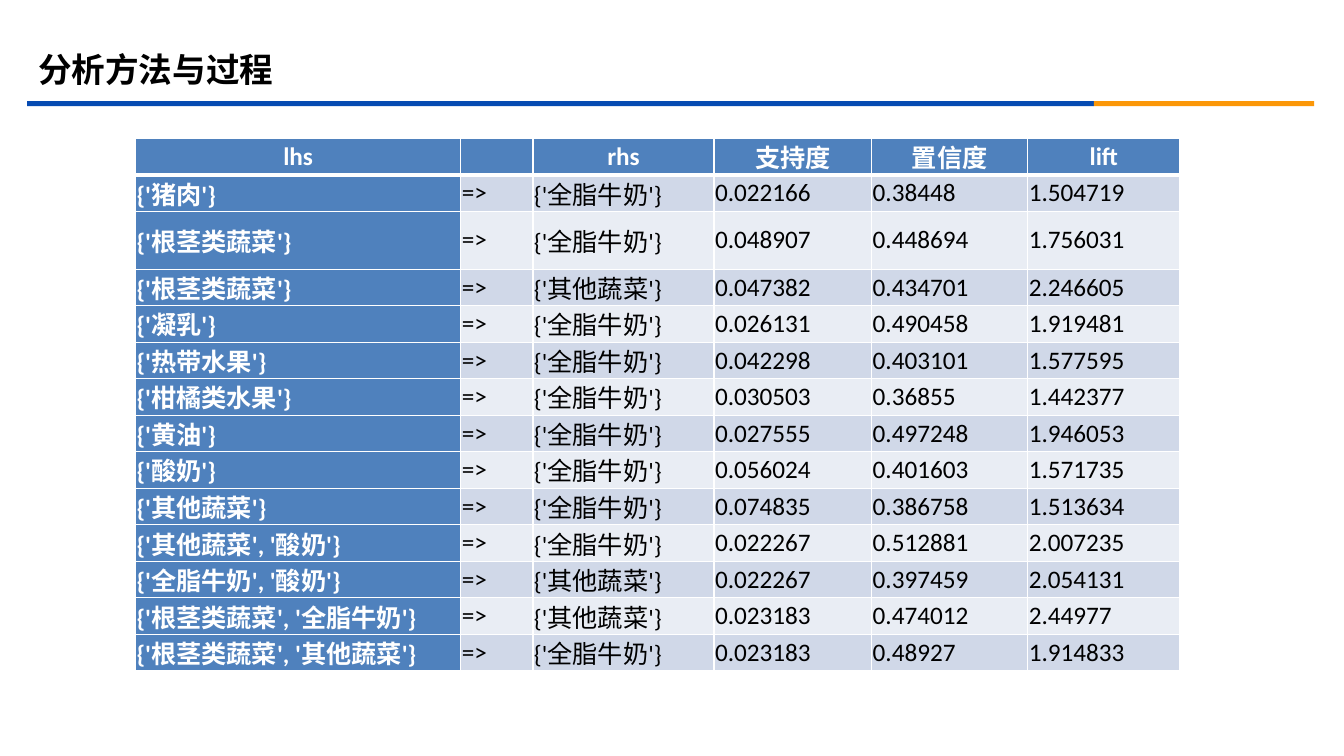
from dataclasses import dataclass

from lxml.etree import SubElement
from pptx import Presentation
from pptx.dml.color import RGBColor
from pptx.enum.shapes import MSO_SHAPE
from pptx.enum.text import MSO_ANCHOR, PP_ALIGN
from pptx.oxml.ns import qn
from pptx.util import Pt


@dataclass(frozen=True)
class Theme:
    white: str = "FFFFFF"
    black: str = "000000"
    rule_blue: str = "064BB2"
    rule_orange: str = "FB9708"
    heading: str = "4F81BD"
    bands: tuple = ("D0D8E8", "E9EDF4")
    latin: str = "Calibri"
    chinese: str = "Noto Sans CJK SC"
    title_size: float = 24
    table_size: float = 18


MILK = "{'全脂牛奶'}"
VEGETABLES = "{'其他蔬菜'}"
HEADINGS = ("lhs", "", "rhs", "支持度", "置信度", "lift")
RULES = (
    ("{'猪肉'}", MILK, "0.022166", "0.38448", "1.504719"),
    ("{'根茎类蔬菜'}", MILK, "0.048907", "0.448694", "1.756031"),
    ("{'根茎类蔬菜'}", VEGETABLES, "0.047382", "0.434701", "2.246605"),
    ("{'凝乳'}", MILK, "0.026131", "0.490458", "1.919481"),
    ("{'热带水果'}", MILK, "0.042298", "0.403101", "1.577595"),
    ("{'柑橘类水果'}", MILK, "0.030503", "0.36855", "1.442377"),
    ("{'黄油'}", MILK, "0.027555", "0.497248", "1.946053"),
    ("{'酸奶'}", MILK, "0.056024", "0.401603", "1.571735"),
    (VEGETABLES, MILK, "0.074835", "0.386758", "1.513634"),
    ("{'其他蔬菜', '酸奶'}", MILK, "0.022267", "0.512881", "2.007235"),
    ("{'全脂牛奶', '酸奶'}", VEGETABLES, "0.022267", "0.397459", "2.054131"),
    ("{'根茎类蔬菜', '全脂牛奶'}", VEGETABLES, "0.023183", "0.474012", "2.44977"),
    ("{'根茎类蔬菜', '其他蔬菜'}", MILK, "0.023183", "0.48927", "1.914833"),
)
COLUMN_WIDTHS = (232.3, 51.6, 129.4, 112.6, 111.5, 108.6)
ROW_HEIGHT = 26.1
TALL_ROW, TALL_HEIGHT = 2, 41.2


def write_text(frame, text, *, font, east_asian, size, color, bold=False,
               align=PP_ALIGN.LEFT):
    para = frame.paragraphs[0]
    para.alignment = align
    if not text:
        return
    span = para.add_run()
    span.text = text
    span.font.name = font
    span.font.size = Pt(size)
    span.font.bold = bold
    span.font.color.rgb = RGBColor.from_string(color)
    SubElement(span.font._element, qn("a:ea"), typeface=east_asian)


class SlideBuilder:
    def __init__(self, page, theme):
        self.page = page
        self.theme = theme

    def bar(self, left, top, width, height, color):
        box = self.page.shapes.add_shape(
            MSO_SHAPE.RECTANGLE, Pt(left), Pt(top), Pt(width), Pt(height))
        box.shadow.inherit = False
        box.fill.solid()
        box.fill.fore_color.rgb = RGBColor.from_string(color)
        box.line.fill.background()

    def title(self, text, left, top, width, height):
        theme = self.theme
        box = self.page.shapes.add_textbox(Pt(left), Pt(top), Pt(width), Pt(height))
        frame = box.text_frame
        frame.word_wrap = True
        frame.vertical_anchor = MSO_ANCHOR.MIDDLE
        write_text(frame, text, font=theme.chinese, east_asian=theme.chinese,
                   size=theme.title_size, color=theme.black, bold=True)

    def borders(self, cell, **widths):
        properties = cell._tc.get_or_add_tcPr()
        for side in ("L", "R", "T", "B"):
            line = SubElement(properties, qn(f"a:ln{side}"),
                              w=str(Pt(widths.get(side, 1))))
            fill = SubElement(line, qn("a:solidFill"))
            SubElement(fill, qn("a:srgbClr"), val=self.theme.white)

    def cell(self, cell, text, row, column):
        theme = self.theme
        header = row == 0
        strong = header or column == 0
        cell.margin_left = cell.margin_right = Pt(0.75)
        cell.margin_top = cell.margin_bottom = Pt(0)
        cell.vertical_anchor = MSO_ANCHOR.MIDDLE
        self.borders(cell, T=3 if row == 1 else 1, B=3 if header else 1)
        cell.fill.solid()
        color = theme.heading if strong else theme.bands[(row - 1) % 2]
        cell.fill.fore_color.rgb = RGBColor.from_string(color)
        write_text(cell.text_frame, text, font=theme.latin,
                   east_asian=theme.chinese, size=theme.table_size,
                   color=theme.white if strong else theme.black, bold=strong,
                   align=PP_ALIGN.CENTER if header else PP_ALIGN.JUSTIFY)

    def table(self, rows, left, top, widths, heights):
        frame = self.page.shapes.add_table(
            len(rows), len(widths), Pt(left), Pt(top),
            Pt(sum(widths)), Pt(sum(heights)))
        table = frame.table
        table.horz_banding = False
        for column, width in zip(table.columns, widths):
            column.width = Pt(width)
        for row, height in zip(table.rows, heights):
            row.height = Pt(height)
        for row, values in enumerate(rows):
            for column, text in enumerate(values):
                self.cell(table.cell(row, column), text, row, column)


def main():
    deck = Presentation()
    deck.slide_width, deck.slide_height = Pt(960), Pt(540)
    page = deck.slides.add_slide(deck.slide_layouts[6])
    theme = Theme()
    builder = SlideBuilder(page, theme)
    builder.bar(19.4, 72.2, 762, 3.6, theme.rule_blue)
    builder.bar(781.4, 72.2, 157.3, 3.6, theme.rule_orange)
    builder.title("分析方法与过程", 20.2, 28.1, 864, 41.8)
    rows = [HEADINGS] + [(lhs, "=>", *rest) for lhs, *rest in RULES]
    heights = [TALL_HEIGHT if row == TALL_ROW else ROW_HEIGHT
               for row in range(len(rows))]
    builder.table(rows, 96.8, 98.9, COLUMN_WIDTHS, heights)
    deck.save("out.pptx")


if __name__ == "__main__":
    main()
